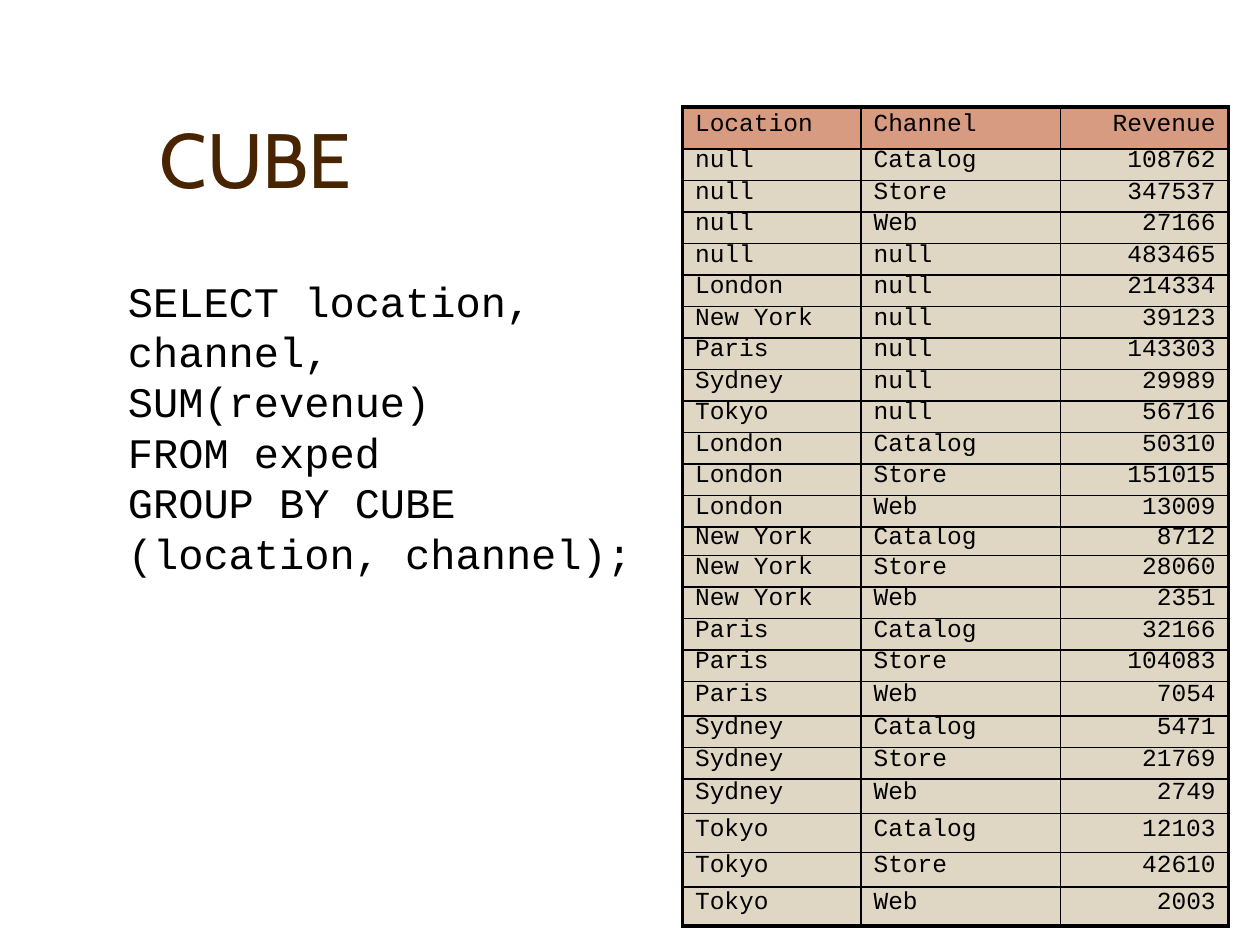
import dataclasses
import typing

import lxml.etree
import pptx
import pptx.dml.color
import pptx.enum.text
import pptx.oxml.ns
import pptx.util

EMU_PER_PX = 7620
INK, BROWN, SALMON, SAND = "000000", "482400", "D69B80", "DFD6C3"
CODE_FONT = "Courier New"
LEFT = pptx.enum.text.PP_ALIGN.LEFT
RIGHT = pptx.enum.text.PP_ALIGN.RIGHT
OUTER_WIDTH, INNER_WIDTH = 2.25, 1


@dataclasses.dataclass
class Box:
    left: int
    top: int
    width: int
    height: int


@dataclasses.dataclass
class Column:
    heading: str
    width: int
    align: pptx.enum.text.PP_ALIGN


@dataclasses.dataclass
class Sale:
    location: str
    channel: str
    revenue: int
    height: int = 30


COLUMNS = [
    Column("Location", 170, LEFT),
    Column("Channel", 190, LEFT),
    Column("Revenue", 160, RIGHT),
]
HEADING_HEIGHT = 40
SALES = [
    Sale("null", "Catalog", 108762),
    Sale("null", "Store", 347537),
    Sale("null", "Web", 27166),
    Sale("null", "null", 483465),
    Sale("London", "null", 214334),
    Sale("New York", "null", 39123),
    Sale("Paris", "null", 143303),
    Sale("Sydney", "null", 29989),
    Sale("Tokyo", "null", 56716),
    Sale("London", "Catalog", 50310),
    Sale("London", "Store", 151015),
    Sale("London", "Web", 13009),
    Sale("New York", "Catalog", 8712, 27),
    Sale("New York", "Store", 28060),
    Sale("New York", "Web", 2351),
    Sale("Paris", "Catalog", 32166),
    Sale("Paris", "Store", 104083),
    Sale("Paris", "Web", 7054, 33),
    Sale("Sydney", "Catalog", 5471),
    Sale("Sydney", "Store", 21769),
    Sale("Sydney", "Web", 2749, 33),
    Sale("Tokyo", "Catalog", 12103, 37),
    Sale("Tokyo", "Store", 42610, 33),
    Sale("Tokyo", "Web", 2003, 37),
]
QUERY = [
    "SELECT location, channel, SUM(revenue)",
    "FROM exped",
    "GROUP BY CUBE (location, channel);",
]


def px(length: int) -> pptx.util.Emu:
    return pptx.util.Emu(length * EMU_PER_PX)


def color(code: str) -> pptx.dml.color.RGBColor:
    return pptx.dml.color.RGBColor.from_string(code)


def apply(target: typing.Any, formats: dict[str, typing.Any]) -> None:
    for key, value in formats.items():
        setattr(target, key, value)


def place(target: typing.Any, box: Box) -> None:
    apply(target, {key: px(length) for key, length in dataclasses.asdict(box).items()})


def write(
    paragraph: typing.Any, text: str, font: str, size: int, ink: str,
    formats: dict[str, typing.Any],
) -> None:
    run = paragraph.add_run()
    run.text = text
    apply(run.font, {"name": font, "size": pptx.util.Pt(size)})
    run.font.color.rgb = color(ink)
    apply(paragraph, formats)


def draw_border(cell: typing.Any, side: str, points: float) -> None:
    qn = pptx.oxml.ns.qn
    line = lxml.etree.SubElement(
        cell._tc.get_or_add_tcPr(), qn(f"a:ln{side}"), w=str(pptx.util.Pt(points))
    )
    fill = lxml.etree.SubElement(line, qn("a:solidFill"))
    lxml.etree.SubElement(fill, qn("a:srgbClr"), val=INK)


def draw_title(slide: typing.Any) -> None:
    title = slide.shapes.title
    place(title, Box(140, 50, 1020, 150))
    apply(title.text_frame, {
        "vertical_anchor": pptx.enum.text.MSO_ANCHOR.BOTTOM,
        "auto_size": pptx.enum.text.MSO_AUTO_SIZE.NONE,
    })
    write(title.text_frame.paragraphs[0], "CUBE", "Cabin", 44, BROWN, {"alignment": LEFT})


def draw_query(slide: typing.Any) -> None:
    box = Box(110, 250, 510, 302)
    frame = slide.shapes.add_textbox(0, 0, 0, 0)
    place(frame, box)
    body = frame.text_frame
    apply(body, {"word_wrap": True, "margin_top": px(12), "margin_bottom": 0})
    for index, clause in enumerate(QUERY):
        paragraph = body.add_paragraph() if index else body.paragraphs[0]
        write(paragraph, clause, CODE_FONT, 24, INK, {"line_spacing": pptx.util.Pt(28.8)})


def draw_sales(slide: typing.Any) -> None:
    rows = [[column.heading for column in COLUMNS]]
    rows += [[sale.location, sale.channel, str(sale.revenue)] for sale in SALES]
    heights = [HEADING_HEIGHT] + [sale.height for sale in SALES]
    width = sum(column.width for column in COLUMNS)
    table = slide.shapes.add_table(
        len(rows), len(COLUMNS), px(650), px(102), px(width), px(sum(heights))
    ).table
    apply(table, {"first_row": False, "horz_banding": False})
    for grid_column, column in zip(table.columns, COLUMNS):
        grid_column.width = px(column.width)
    for r, (values, height) in enumerate(zip(rows, heights)):
        table.rows[r].height = px(height)
        for c, (value, column) in enumerate(zip(values, COLUMNS)):
            cell = table.cell(r, c)
            edges = {
                "L": c == 0,
                "R": c == len(COLUMNS) - 1,
                "T": r == 0,
                "B": r == len(rows) - 1,
            }
            for side, outer in edges.items():
                draw_border(cell, side, OUTER_WIDTH if outer else INNER_WIDTH)
            cell.fill.solid()
            cell.fill.fore_color.rgb = color(SAND if r else SALMON)
            cell.vertical_anchor = pptx.enum.text.MSO_ANCHOR.MIDDLE
            write(cell.text_frame.paragraphs[0], value, CODE_FONT, 14, INK,
                  {"alignment": column.align, "line_spacing": 0.35})


def main() -> None:
    deck = pptx.Presentation()
    apply(deck, {"slide_width": px(1200), "slide_height": px(900)})
    slide = deck.slides.add_slide(deck.slide_layouts.get_by_name("Title Only"))
    draw_sales(slide)
    draw_query(slide)
    draw_title(slide)
    deck.save("out.pptx")


if __name__ == "__main__":
    main()
